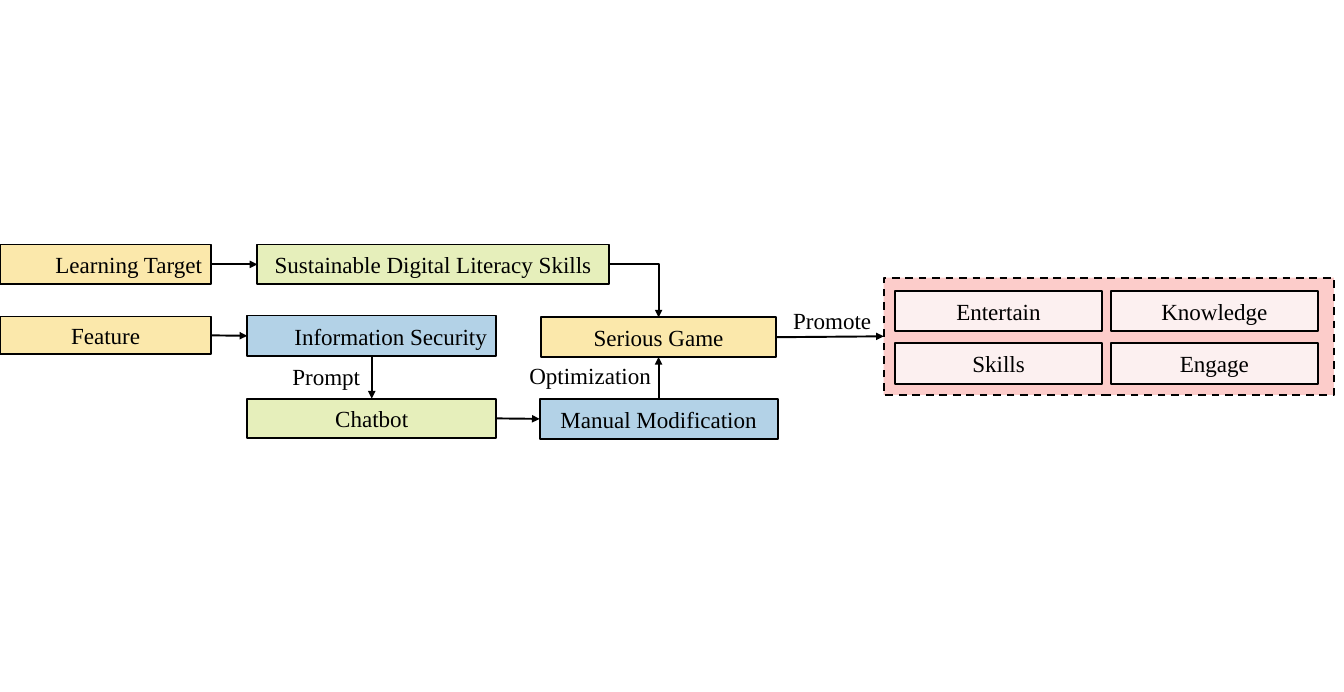
from lxml import etree
from pptx import Presentation
from pptx.dml.color import RGBColor
from pptx.enum.dml import MSO_LINE
from pptx.enum.shapes import MSO_CONNECTOR, MSO_SHAPE
from pptx.enum.text import MSO_ANCHOR, MSO_AUTO_SIZE, PP_ALIGN
from pptx.oxml.ns import qn
from pptx.util import Emu, Pt

PX = 9144  # EMU; 100 px to the inch
BLACK, YELLOW, GREEN, BLUE = "000000", "FBE8AB", "E6EFBB", "B3D2E7"
PINK, PALE_PINK = "FCCCCA", "FCF0F0"
TOP, LEFT, BOTTOM, RIGHT = 0, 1, 2, 3
FONT = {"name": "Times New Roman", "size": Pt(18)}


def px(*lengths):
    return [Emu(n * PX) for n in lengths]


def rgb(color):
    return RGBColor.from_string(color)


def set_line(line):
    line.color.rgb = rgb(BLACK)
    line.width = Pt(1.5)


def write(tf, text, align):
    p = tf.paragraphs[0]
    p.alignment = align
    r = p.add_run()
    r.text = text
    for name, value in FONT.items():
        setattr(r.font, name, value)
    r.font.color.rgb = rgb(BLACK)


def add_box(s, at, fill, text="", align=PP_ALIGN.CENTER):
    sp = s.shapes.add_shape(MSO_SHAPE.RECTANGLE, *px(*at))
    sp.shadow.inherit = False
    sp.fill.solid()
    sp.fill.fore_color.rgb = rgb(fill)
    set_line(sp.line)
    if text:
        sp.text_frame.vertical_anchor = MSO_ANCHOR.MIDDLE
        write(sp.text_frame, text, align)
    return sp


def add_label(s, at, text):
    tf = s.shapes.add_textbox(*px(*at)).text_frame
    tf.word_wrap = False
    tf.auto_size = MSO_AUTO_SIZE.SHAPE_TO_FIT_TEXT
    write(tf, text, PP_ALIGN.LEFT)


def add_arrow(s, start, start_side, end, end_side, kind=MSO_CONNECTOR.STRAIGHT):
    """Join the middles of two box sides; an elbow has a single corner."""
    arrow = s.shapes.add_connector(kind, 0, 0, 0, 0)
    arrow.begin_connect(start, start_side)
    arrow.end_connect(end, end_side)
    set_line(arrow.line)
    etree.SubElement(arrow.line._get_or_add_ln(), qn("a:tailEnd"), type="triangle")
    props = arrow._element.spPr
    etree.SubElement(props, qn("a:effectLst"))
    if kind == MSO_CONNECTOR.ELBOW:
        props.find(qn("a:prstGeom")).set("prst", "bentConnector2")


def add_outcomes(s):
    panel = add_box(s, (958, 301, 488, 127), PINK)
    panel.line.dash_style = MSO_LINE.DASH
    outcomes = ["Entertain", "Knowledge", "Skills", "Engage"]
    for i, text in enumerate(outcomes):
        row, col = divmod(i, 2)
        add_box(s, (970 + 234 * col, 315 + 57 * row, 225, 44), PALE_PINK, text)
    return panel


def main():
    prs = Presentation()
    prs.slide_width, prs.slide_height = px(1457, 750)
    s = prs.slides.add_slide(prs.slide_layouts[6])

    outcomes = add_outcomes(s)
    target = add_box(s, (0, 265, 229, 43), YELLOW, "Learning Target", PP_ALIGN.RIGHT)
    literacy = add_box(s, (279, 265, 381, 43), GREEN, "Sustainable Digital Literacy Skills")
    feature = add_box(s, (0, 343, 229, 41), YELLOW, "Feature")
    security = add_box(s, (268, 342, 270, 44), BLUE, "Information Security", PP_ALIGN.RIGHT)
    chatbot = add_box(s, (268, 432, 270, 43), GREEN, "Chatbot")
    manual = add_box(s, (585, 432, 258, 44), BLUE, "Manual Modification")
    game = add_box(s, (587, 344, 254, 43), YELLOW, "Serious Game")

    add_arrow(s, target, RIGHT, literacy, LEFT)
    add_arrow(s, feature, RIGHT, security, LEFT)
    add_arrow(s, security, BOTTOM, chatbot, TOP)
    add_arrow(s, chatbot, RIGHT, manual, LEFT)
    add_arrow(s, manual, TOP, game, BOTTOM)
    add_arrow(s, literacy, RIGHT, game, TOP, MSO_CONNECTOR.ELBOW)
    add_arrow(s, game, RIGHT, outcomes, LEFT)

    add_label(s, (307, 388, 95, 40), "Prompt")
    add_label(s, (564, 387, 153, 40), "Optimization")
    add_label(s, (850, 327, 106, 40), "Promote")

    prs.save("out.pptx")


if __name__ == "__main__":
    main()
